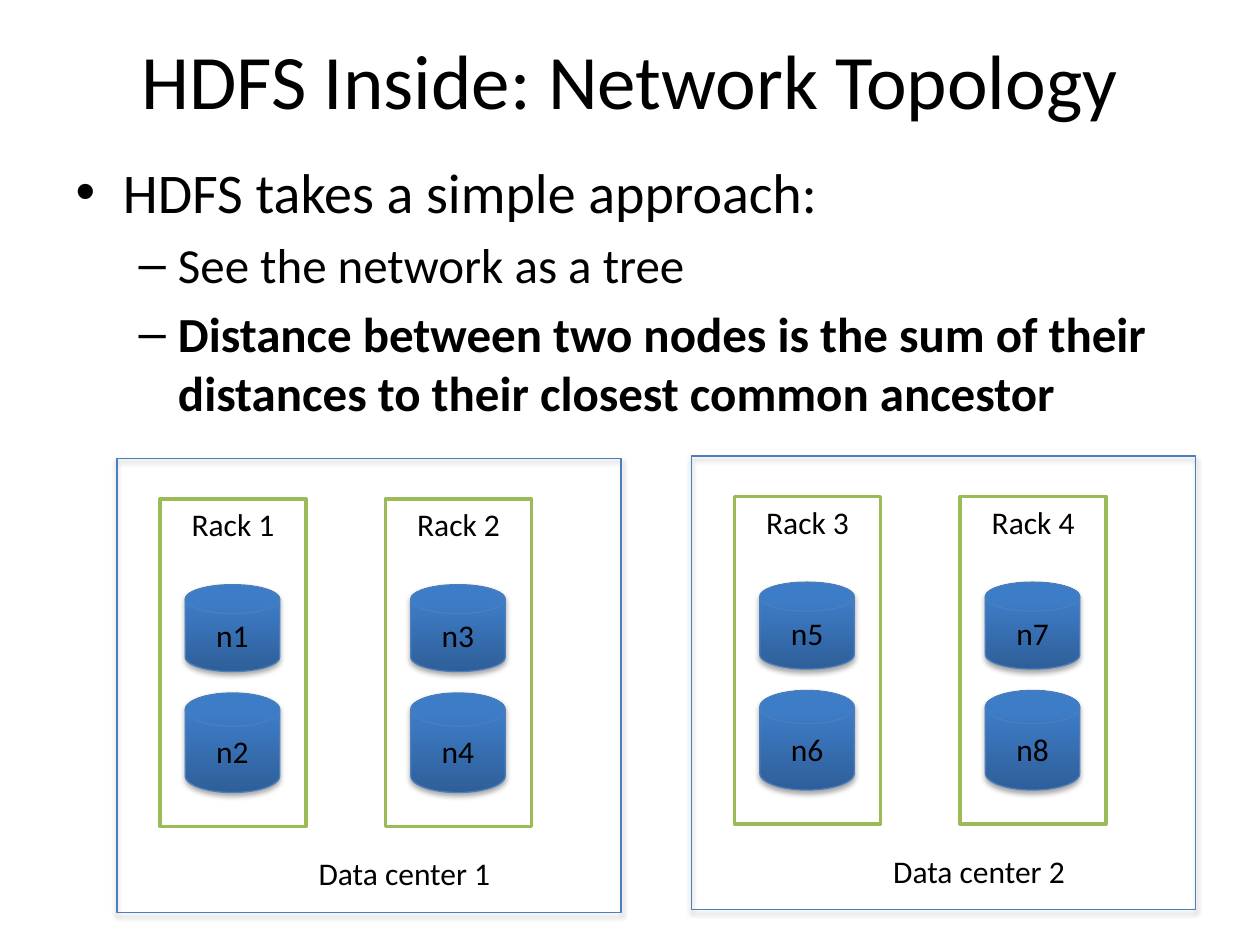
from dataclasses import dataclass

from lxml.etree import SubElement
from pptx import Presentation
from pptx.dml.color import RGBColor
from pptx.enum.shapes import MSO_SHAPE
from pptx.enum.text import MSO_ANCHOR, MSO_AUTO_SIZE, PP_ALIGN
from pptx.oxml.ns import qn
from pptx.util import Inches, Pt


@dataclass(frozen=True)
class Theme:
    font: str = "Calibri"
    text: RGBColor = RGBColor(0x00, 0x00, 0x00)
    paper: RGBColor = RGBColor(0xFF, 0xFF, 0xFF)
    blue_line: RGBColor = RGBColor(0x4B, 0x7E, 0xBC)
    rack_line: RGBColor = RGBColor(0x9B, 0xBB, 0x59)
    disk_dark: RGBColor = RGBColor(0x2F, 0x5F, 0x99)
    disk_light: RGBColor = RGBColor(0x3D, 0x7C, 0xC7)
    title_size: Pt = Pt(44)
    level_sizes: tuple = (Pt(32), Pt(28))
    label_size: Pt = Pt(18)


theme = Theme()


def add_text(para, words, size, bold=None):
    span = para.add_run()
    span.text = words
    span.font.name = theme.font
    span.font.size = size
    span.font.bold = bold
    span.font.color.rgb = theme.text


def add_box(kind, left, top, width, height, line, weight, shadow=False):
    box = page.shapes.add_shape(kind, Inches(left), Inches(top), Inches(width), Inches(height))
    box.line.color.rgb = line
    box.line.width = Pt(weight)
    box.shadow.inherit = False
    if shadow:
        effects = box._element.spPr.find(qn("a:effectLst"))
        outer = SubElement(effects, qn("a:outerShdw"), blurRad="40000", dist="23000",
                           dir="5400000", rotWithShape="0")
        color = SubElement(outer, qn("a:srgbClr"), val="000000")
        SubElement(color, qn("a:alpha"), val="35000")
    box.text_frame.paragraphs[0].alignment = PP_ALIGN.CENTER
    return box


deck = Presentation()
deck.slide_width, deck.slide_height = Inches(10), Inches(7.5)
page = deck.slides.add_slide(deck.slide_layouts[1])

# Title
title = page.shapes.title
title.left, title.top, title.width, title.height = Inches(0.5), Inches(0), Inches(9), Inches(1.25)
title.text_frame.vertical_anchor = MSO_ANCHOR.MIDDLE
title.text_frame.paragraphs[0].alignment = PP_ALIGN.CENTER
add_text(title.text_frame.paragraphs[0], "HDFS Inside: Network Topology", theme.title_size)

# Bullet list
body = page.placeholders[1]
body.left, body.top, body.width, body.height = Inches(0.5), Inches(1.2), Inches(9), Inches(5.22)
body.text_frame.auto_size = MSO_AUTO_SIZE.NONE
bullets = [
    (0, "HDFS takes a simple approach:", None),
    (1, "See the network as a tree", None),
    (1, "Distance between two nodes is the sum of their distances "
        "to their closest common ancestor", True),
]
for index, (level, words, bold) in enumerate(bullets):
    para = body.text_frame.add_paragraph() if index else body.text_frame.paragraphs[0]
    para.level = level
    if index == 0:
        para.space_before = Pt(0)
    add_text(para, words, theme.level_sizes[level], bold)

# Data centers, each with two racks of two nodes
for center, (left, top) in enumerate([(0.93, 3.64), (5.49, 3.62)]):
    frame = add_box(MSO_SHAPE.RECTANGLE, left, top, 4, 3.6, theme.blue_line, 0.75, shadow=True)
    frame.fill.background()

    for column in range(2):
        rack_number = 2 * center + column + 1
        rack_left = left + 0.34 + 1.79 * column
        rack = add_box(MSO_SHAPE.RECTANGLE, rack_left, top + 0.32, 1.16, 2.6, theme.rack_line, 2)
        rack.fill.solid()
        rack.fill.fore_color.rgb = theme.paper
        rack.text_frame.vertical_anchor = MSO_ANCHOR.TOP
        add_text(rack.text_frame.paragraphs[0], f"Rack {rack_number}", theme.label_size)

        for row, (offset, height) in enumerate([(1, 0.69), (1.86, 0.79)]):
            node = add_box(MSO_SHAPE.FLOWCHART_MAGNETIC_DISK, rack_left + 0.2, top + offset,
                           0.75, height, theme.blue_line, 0.75, shadow=True)
            node.fill.gradient()
            node.fill.gradient_angle = 90
            dark, light = node.fill.gradient_stops
            dark.color.rgb, dark.position = theme.disk_dark, 0
            light.color.rgb, light.position = theme.disk_light, 0.8
            node.text_frame.vertical_anchor = MSO_ANCHOR.MIDDLE
            add_text(node.text_frame.paragraphs[0], f"n{2 * rack_number - 1 + row}",
                     theme.label_size)

    label = page.shapes.add_textbox(Inches(left + 1.5), Inches(top + 3.09),
                                    Inches(1.79), Inches(0.4))
    label.text_frame.word_wrap = True
    add_text(label.text_frame.paragraphs[0], f"Data center {center + 1}", theme.label_size)

deck.save("out.pptx")
